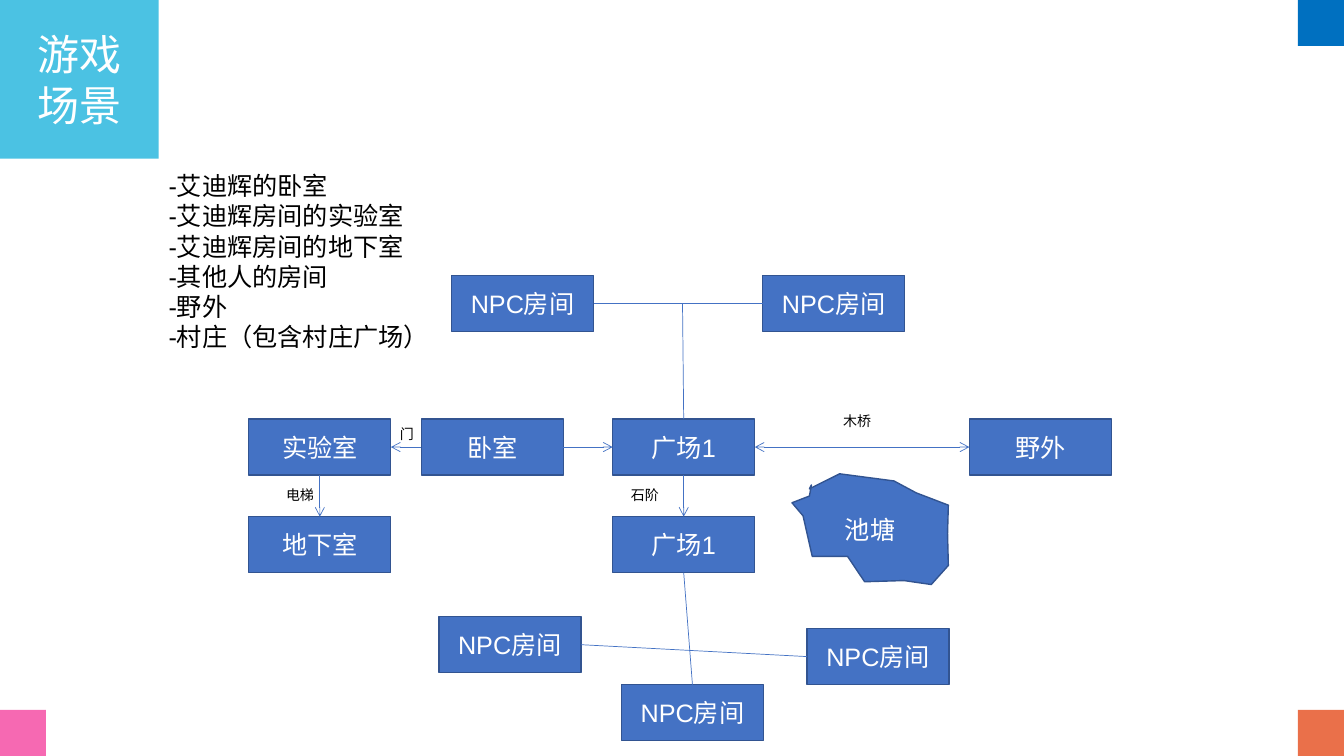
from dataclasses import dataclass

from lxml.etree import SubElement
from pptx import Presentation
from pptx.dml.color import RGBColor
from pptx.enum.shapes import MSO_CONNECTOR, MSO_SHAPE
from pptx.enum.text import MSO_ANCHOR, MSO_AUTO_SIZE, PP_ALIGN
from pptx.oxml.ns import qn
from pptx.util import Cm, Pt


@dataclass(frozen=True)
class Theme:
    font: str = "Arial"
    title_fill: str = "4BC2E3"
    pink: str = "F669B2"
    orange: str = "EA704A"
    blue: str = "0070C0"
    room_fill: str = "4472C4"
    room_line: str = "325491"
    light: str = "FFFFFF"
    dark: str = "000000"
    title_size: int = 30
    body_size: int = 18
    label_size: int = 10


theme = Theme()


def style(sp, fill=None, line=None):
    """Give a shape a flat fill and an optional outline, without shadow."""
    sp.shadow.inherit = False
    sp.fill.solid()
    sp.fill.fore_color.rgb = RGBColor.from_string(fill)
    if line:
        sp.line.color.rgb = RGBColor.from_string(line)
        sp.line.width = Pt(1)
    else:
        sp.line.fill.background()


def write(sp, lines, size, color, centred=False):
    """Fill a shape with one paragraph per line."""
    tf = sp.text_frame
    anchor = MSO_ANCHOR.MIDDLE if centred else MSO_ANCHOR.TOP
    auto_size = MSO_AUTO_SIZE.NONE if centred else MSO_AUTO_SIZE.SHAPE_TO_FIT_TEXT
    frame_format = {"word_wrap": True, "vertical_anchor": anchor, "auto_size": auto_size}
    for name, value in frame_format.items():
        setattr(tf, name, value)
    for i, line in enumerate(lines):
        p = tf.add_paragraph() if i else tf.paragraphs[0]
        p.alignment = PP_ALIGN.CENTER if centred else PP_ALIGN.LEFT
        r = p.add_run()
        r.text = line
        for name, value in {"name": theme.font, "size": Pt(size)}.items():
            setattr(r.font, name, value)
        r.font.color.rgb = RGBColor.from_string(color)


prs = Presentation()
prs.slide_width, prs.slide_height = Cm(33.87), Cm(19.05)
s = prs.slides.add_slide(prs.slide_layouts[6])
shapes = s.shapes

# Title and corner squares
title = shapes.add_shape(MSO_SHAPE.RECTANGLE, 0, 0, Cm(4), Cm(4))
style(title, theme.title_fill)
write(title, ["游戏", "场景"], theme.title_size, theme.light, centred=True)

corner = Cm(1.16)
right, bottom = prs.slide_width - corner, prs.slide_height - corner
for x, y, color in [(0, bottom, theme.pink), (right, bottom, theme.orange), (right, 0, theme.blue)]:
    style(shapes.add_shape(MSO_SHAPE.RECTANGLE, x, y, corner, corner), color)

# List of scenes
scenes = shapes.add_textbox(Cm(4), Cm(4.17), Cm(8.56), Cm(4.88))
write(scenes, ["-艾迪辉的卧室", "-艾迪辉房间的实验室", "-艾迪辉房间的地下室",
               "-其他人的房间", "-野外", "-村庄（包含村庄广场）"], theme.body_size, theme.dark)

# Rooms of the map
NORTH, UPPER, LOWER = 6.94, 10.56, 13.02
rooms = {}
for key, text, x, y in [
    ("bedroom", "卧室", 10.62, UPPER),
    ("lab", "实验室", 6.27, UPPER),
    ("basement", "地下室", 6.27, LOWER),
    ("square", "广场1", 15.44, UPPER),
    ("lower square", "广场1", 15.44, LOWER),
    ("wild", "野外", 24.43, UPPER),
    ("npc south", "NPC房间", 15.66, 17.25),
    ("npc southwest", "NPC房间", 11.06, 15.54),
    ("npc southeast", "NPC房间", 20.34, 15.84),
    ("npc northwest", "NPC房间", 11.38, NORTH),
    ("npc northeast", "NPC房间", 19.22, NORTH),
]:
    sp = shapes.add_shape(MSO_SHAPE.RECTANGLE, Cm(x), Cm(y), Cm(3.58), Cm(1.41))
    style(sp, theme.room_fill, theme.room_line)
    write(sp, [text], theme.body_size, theme.light, centred=True)
    rooms[key] = sp

# Pond
outline = [(Cm(x), Cm(y)) for x, y in [
    (20.4, 12.32), (21.16, 11.94), (22.53, 12.12), (23.09, 12.42), (23.9, 12.73), (23.88, 13.44),
    (23.9, 14.25), (23.47, 14.73), (22.78, 14.63), (21.79, 14.66), (21.36, 14.02), (20.47, 14.02),
    (20.24, 13), (19.96, 12.67), (20.4, 12.5), (20.45, 12.22),
]]
builder = shapes.build_freeform(*outline[0])
builder.add_line_segments(outline[1:], close=True)
pond = builder.convert_to_shape()
style(pond, theme.room_fill, theme.room_line)
write(pond, ["池塘"], theme.body_size, theme.light, centred=True)

# Ways between rooms; the trunk to the north starts on the line between two rooms
TOP, LEFT, BOTTOM, RIGHT = range(4)
TRUNK = (Cm(17.2), Cm(NORTH + 0.71))
for start, start_side, end, end_side, arrows in [
    ("lab", BOTTOM, "basement", TOP, ["tailEnd"]),
    ("bedroom", LEFT, "lab", RIGHT, ["tailEnd"]),
    ("bedroom", RIGHT, "square", LEFT, ["tailEnd"]),
    ("square", BOTTOM, "lower square", TOP, ["tailEnd"]),
    ("square", RIGHT, "wild", LEFT, ["headEnd", "tailEnd"]),
    ("npc southwest", RIGHT, "npc southeast", LEFT, []),
    ("npc south", TOP, "lower square", BOTTOM, []),
    ("npc northwest", RIGHT, "npc northeast", LEFT, []),
    (None, None, "square", TOP, []),
]:
    way = shapes.add_connector(MSO_CONNECTOR.STRAIGHT, *TRUNK, *TRUNK)
    if start:
        way.begin_connect(rooms[start], start_side)
    way.end_connect(rooms[end], end_side)
    way.line.color.rgb = RGBColor.from_string(theme.room_fill)
    way.line.width = Pt(0.5)
    for arrow in arrows:
        SubElement(way.line._get_or_add_ln(), qn("a:" + arrow), type="arrow")
    SubElement(way._element.spPr, qn("a:effectLst"))

# Names of the ways
for text, x, y in [("电梯", 6.96, 12.14), ("门", 9.83, 10.59), ("石阶", 15.65, 12.14), ("木桥", 21, 10.26)]:
    label = shapes.add_textbox(Cm(x), Cm(y), Cm(1.88), Cm(0.69))
    write(label, [text], theme.label_size, theme.dark)

prs.save("out.pptx")
